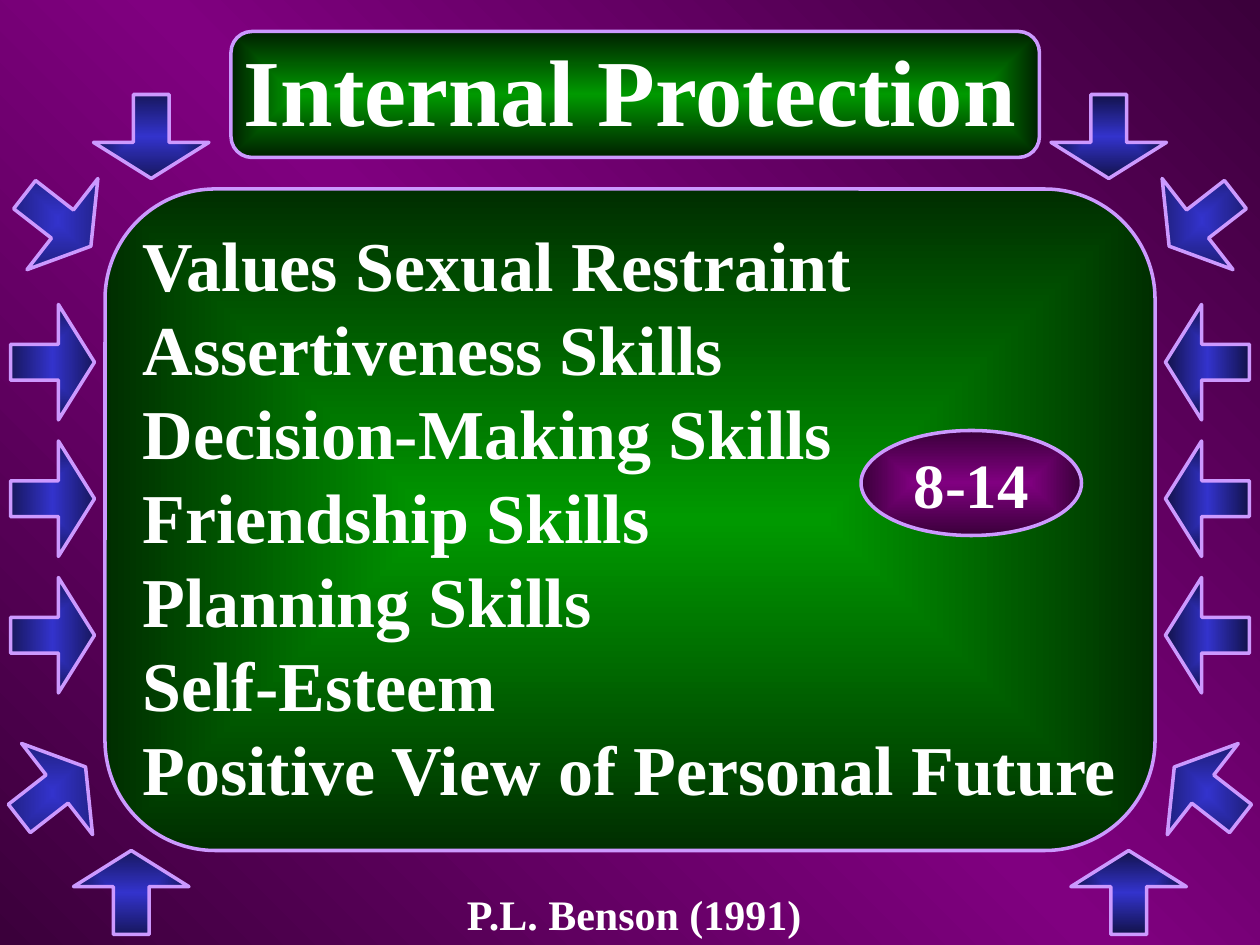
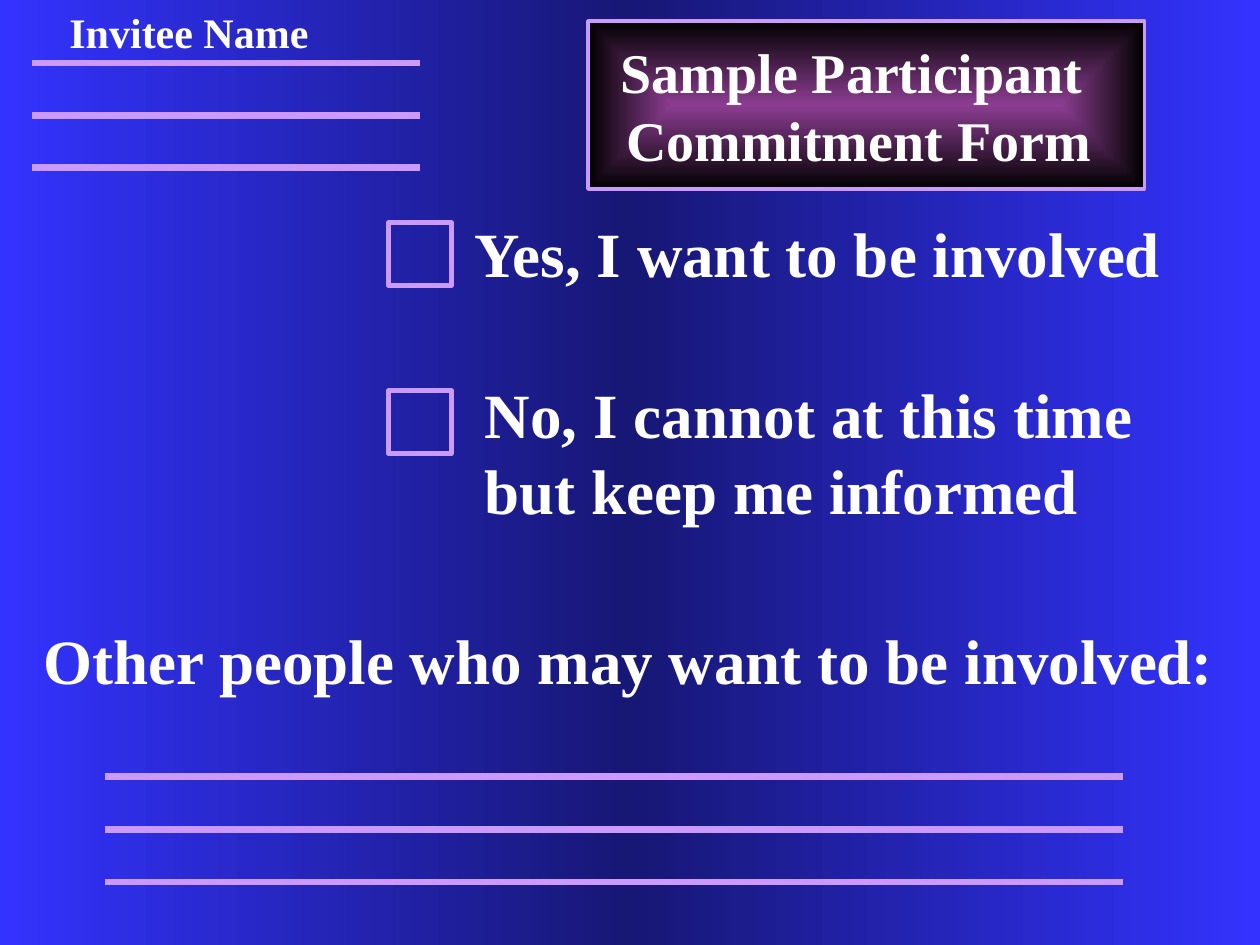
from lxml.etree import SubElement
from pptx import Presentation
from pptx.dml.color import RGBColor
from pptx.enum.shapes import MSO_CONNECTOR, MSO_SHAPE
from pptx.enum.text import MSO_ANCHOR, MSO_AUTO_SIZE, PP_ALIGN
from pptx.oxml.ns import qn
from pptx.util import Inches, Pt

COLUMNS, ROWS = 120, 90
WIDTH, HEIGHT = Inches(10), Inches(7.5)
FONT = "Times New Roman"

WHITE = RGBColor(0xFF, 0xFF, 0xFF)
BLACK = RGBColor(0x00, 0x00, 0x00)
LILAC = RGBColor(0xCC, 0x99, 0xFF)
PURPLE = RGBColor(0x80, 0x00, 0x80)
DARK_PURPLE = RGBColor(0x3B, 0x00, 0x3B)
PLUM = RGBColor(0x8C, 0x3D, 0x91)
GREEN = RGBColor(0x00, 0x99, 0x00)
TITLE_GREEN = RGBColor(0x00, 0x20, 0x00)
PANEL_GREEN = RGBColor(0x00, 0x2E, 0x00)
BRIGHT_BLUE = RGBColor(0x33, 0x33, 0xFF)
DEEP_BLUE = RGBColor(0x17, 0x17, 0x75)
ARROW_BLUE = RGBColor(0x33, 0x33, 0xCC)
LEFT_ARROW_EDGE = RGBColor(0x17, 0x17, 0x5E)
RIGHT_ARROW_EDGE = RGBColor(0x12, 0x12, 0x4A)

ARROW_WIDTH, ARROW_HEIGHT = 8, 11
LEFT_ARROWS = [
    (10.4, 7.5, 90),
    (1.5, 15.5, 37.9),
    (1, 29, 0),
    (1, 42, 0),
    (1, 55, 0),
    (8.5, 79.5, -90),
    (1, 70, -37.9),
]
SKILLS = [
    "Values Sexual Restraint",
    "Assertiveness Skills",
    "Decision-Making Skills",
    "Friendship Skills",
    "Planning Skills",
    "Self-Esteem",
    "Positive View of Personal Future",
]


class Deck:
    """Draws lilac-edged shapes and bold white text on a grid of 120 by 90 cells."""

    def __init__(self):
        self.presentation = Presentation()
        self.presentation.slide_width = WIDTH
        self.presentation.slide_height = HEIGHT
        self.slide = None

    def place(self, column, row):
        return round(WIDTH * column / COLUMNS), round(HEIGHT * row / ROWS)

    def gradient(self, fill, element, colors, angle=None):
        fill.gradient()
        gradient = element.find(".//" + qn("a:gradFill"))
        for child in list(gradient):
            gradient.remove(child)
        stops = SubElement(gradient, qn("a:gsLst"))
        for index, color in enumerate(colors):
            position = 100000 * index // (len(colors) - 1)
            stop = SubElement(stops, qn("a:gs"), pos=str(position))
            SubElement(stop, qn("a:srgbClr"), val=str(color))
        if angle is None:
            center = SubElement(gradient, qn("a:path"), path="rect")
            sides = dict.fromkeys("ltrb", "50000")
            SubElement(center, qn("a:fillToRect"), sides)
        else:
            SubElement(gradient, qn("a:lin"), ang=str(angle * 60000), scaled="1")

    def add_slide(self, edge, middle, angle):
        self.slide = self.presentation.slides.add_slide(self.presentation.slide_layouts[6])
        fill = self.slide.background.fill
        self.gradient(fill, self.slide.element, [edge, middle, edge], angle)

    def shape(self, kind, column, row, width, height, colors=None, line_width=2):
        shape = self.slide.shapes.add_shape(
            kind, *self.place(column, row), *self.place(width, height)
        )
        shape.shadow.inherit = False
        if colors:
            self.gradient(shape.fill, shape.element, colors)
        else:
            shape.fill.background()
        shape.line.color.rgb = LILAC
        shape.line.width = Pt(line_width)
        return shape

    def arrow(self, column, row, rotation, edge, mirrored=False):
        if mirrored:
            column = COLUMNS - column - ARROW_WIDTH
        arrow = self.shape(
            MSO_SHAPE.RIGHT_ARROW, column, row, ARROW_WIDTH, ARROW_HEIGHT, [ARROW_BLUE, edge]
        )
        arrow.adjustments[0], arrow.adjustments[1] = 0.31, 0.43
        arrow.rotation = -rotation if mirrored else rotation
        if mirrored:
            arrow.element.find(".//" + qn("a:xfrm")).set("flipH", "1")

    def set_text(self, frame, lines, size, alignment, anchor, wrap=False):
        frame.word_wrap = wrap
        frame.vertical_anchor = anchor
        frame.text = "\n".join(lines)
        for paragraph in frame.paragraphs:
            paragraph.alignment = alignment
            paragraph.font.name = FONT
            paragraph.font.size = Pt(size)
            paragraph.font.bold = True
            paragraph.font.color.rgb = WHITE

    def text(self, column, row, width, height, lines, size,
             alignment=PP_ALIGN.LEFT, anchor=MSO_ANCHOR.TOP, wrap=False):
        box = self.slide.shapes.add_textbox(
            *self.place(column, row), *self.place(width, height)
        )
        self.set_text(box.text_frame, lines, size, alignment, anchor, wrap)
        box.text_frame.auto_size = MSO_AUTO_SIZE.SHAPE_TO_FIT_TEXT

    def rules(self, left, right, first_row, count=3, gap=5):
        for index in range(count):
            row = first_row + index * gap
            rule = self.slide.shapes.add_connector(
                MSO_CONNECTOR.STRAIGHT, *self.place(left, row), *self.place(right, row)
            )
            rule.line.color.rgb = LILAC
            rule.line.width = Pt(4)
            SubElement(rule.element.spPr, qn("a:effectLst"))


def build_protection_slide(deck):
    deck.add_slide(DARK_PURPLE, PURPLE, 135)
    deck.shape(MSO_SHAPE.ROUNDED_RECTANGLE, 22, 3, 77, 12, [GREEN, TITLE_GREEN])
    deck.shape(MSO_SHAPE.ROUNDED_RECTANGLE, 10, 18, 100, 63, [GREEN, PANEL_GREEN])
    deck.text(12.4, 20.5, 95.6, 65.3, SKILLS, 40)
    deck.text(43.3, 84, 34.6, 6, ["P.L. Benson (1991)"], 24)
    deck.text(0, 2.5, 120, 12, ["Internal Protection"], 54, PP_ALIGN.CENTER, wrap=True)
    for mirrored, edge in ((False, LEFT_ARROW_EDGE), (True, RIGHT_ARROW_EDGE)):
        for column, row, rotation in LEFT_ARROWS:
            deck.arrow(column, row, rotation, edge, mirrored)
    badge = deck.shape(MSO_SHAPE.OVAL, 82, 41, 21, 10, [PURPLE, DARK_PURPLE])
    deck.set_text(badge.text_frame, ["8-14"], 36, PP_ALIGN.CENTER, MSO_ANCHOR.MIDDLE)


def build_form_slide(deck):
    deck.add_slide(BRIGHT_BLUE, DEEP_BLUE, 180)
    deck.shape(MSO_SHAPE.RECTANGLE, 56, 2, 53, 16, [PLUM, BLACK])
    for row in (37.2, 21.2):
        deck.shape(MSO_SHAPE.RECTANGLE, 37, row, 6, 6, line_width=2.5)
    deck.text(44, 19.8, 68.4, 8.4, ["Yes, I want to be involved"], 36)
    deck.text(45, 35.2, 65.5, 15.6, ["No, I cannot at this time", "but keep me informed"], 36)
    deck.text(3, 58.6, 113.9, 8.4, ["Other people who may want to be involved:"], 36)
    deck.rules(10, 107, 74)
    deck.rules(3, 40, 6)
    centered = PP_ALIGN.CENTER, MSO_ANCHOR.MIDDLE
    deck.text(5.4, 0, 25.2, 6, ["Invitee Name"], 24, *centered)
    deck.text(57.8, 3, 48, 14, ["Sample Participant ", "Commitment Form "], 32, *centered)


def main():
    deck = Deck()
    build_protection_slide(deck)
    build_form_slide(deck)
    deck.presentation.save("out.pptx")


if __name__ == "__main__":
    main()
